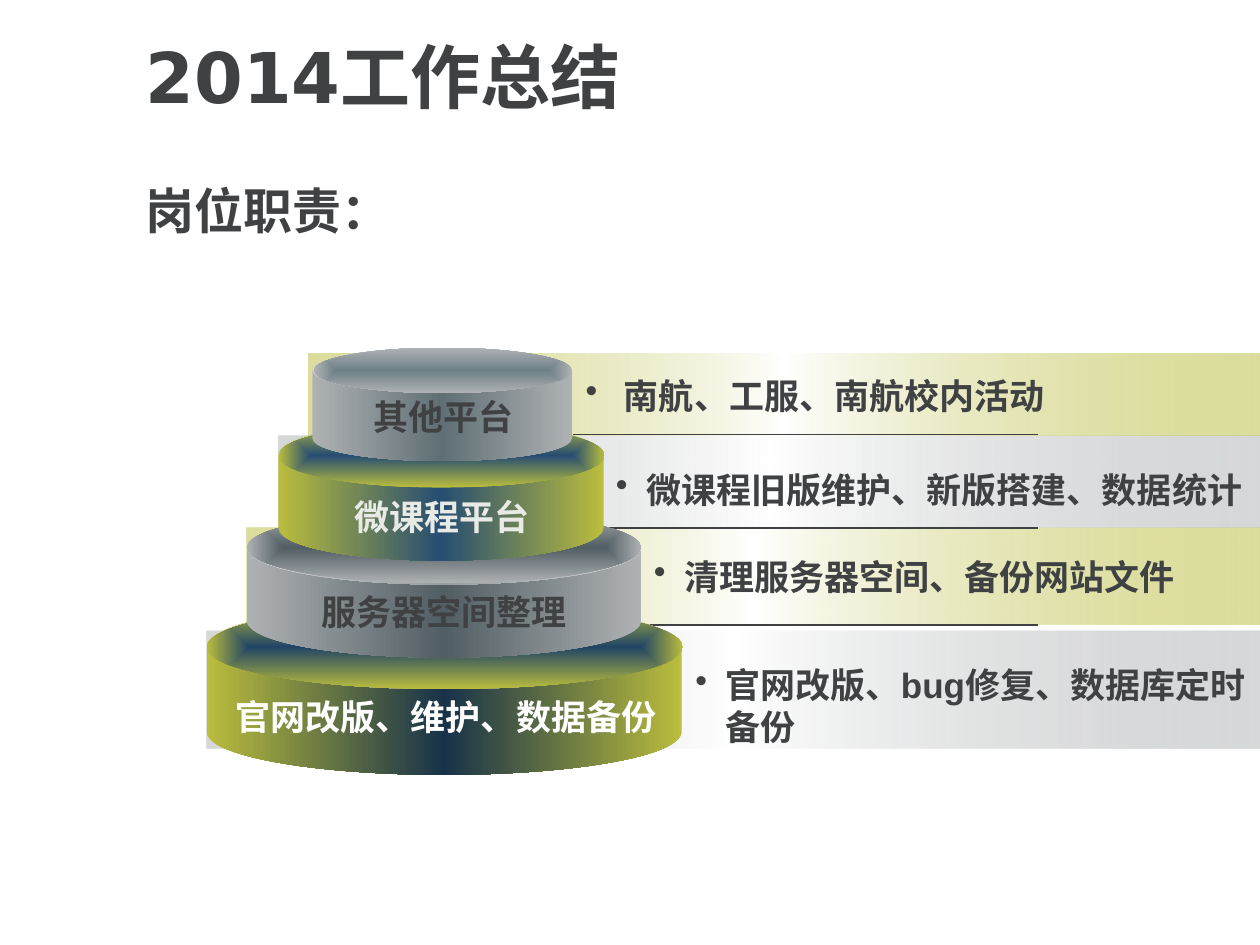
from pptx import Presentation
from pptx.dml.color import RGBColor
from pptx.enum.shapes import MSO_CONNECTOR, MSO_SHAPE
from pptx.enum.text import MSO_ANCHOR, MSO_AUTO_SIZE, PP_ALIGN
from pptx.oxml import parse_xml
from pptx.oxml.ns import nsdecls, qn
from pptx.oxml.xmlchemy import OxmlElement
from pptx.util import Inches, Pt

DARK = RGBColor(0x3F, 0x41, 0x43)
WHITE = RGBColor(0xFF, 0xFF, 0xFF)
PALE = RGBColor(0xE8, 0xEA, 0xE6)
GREY = RGBColor(0xAF, 0xB2, 0xB4)
OLIVE = RGBColor(0xBA, 0xBD, 0x3D)
NAVY = RGBColor(0x18, 0x32, 0x49)
DEEP_BLUE = RGBColor(0x21, 0x45, 0x65)
BLUE = RGBColor(0x26, 0x4D, 0x72)
SLATE = RGBColor(0x51, 0x5E, 0x63)
STEEL = RGBColor(0x5F, 0x6F, 0x74)
LIGHT_STEEL = RGBColor(0x6E, 0x80, 0x87)

SLIDE_WIDTH = 10
LINE_END = 8.24
HANGING = 0.24

# Bottom to top: left, top, width, height, colour
BANDS = [
    (1.64, 5.01, 0.93, GREY),
    (1.96, 4.19, 0.77, OLIVE),
    (2.21, 3.46, 0.73, GREY),
    (2.45, 2.81, 0.65, OLIVE),
]
DIVIDERS = [(4.55, 3.45), (4.79, 4.19), (5.09, 4.96)]
# Can box, can adjustment, lid box, edge colour, can middle, lid middle
TIERS = [
    ((1.64, 4.79, 3.77, 1.36), 0.5, (1.64, 4.8, 3.78, 0.67), OLIVE, NAVY, DEEP_BLUE),
    ((1.96, 4.06, 3.13, 1.16), 0.5, (1.96, 4.06, 3.13, 0.57), GREY, SLATE, SLATE),
    ((2.21, 3.35, 2.58, 1.1), 0.47, (2.21, 3.36, 2.59, 0.51), OLIVE, BLUE, BLUE),
    ((2.48, 2.76, 2.06, 0.9), 0.4, (2.49, 2.76, 2.05, 0.36), GREY, STEEL, LIGHT_STEEL),
]
TIER_LABELS = [
    ("官网改版、维护、数据备份", (1.65, 5.47, 3.78, 0.44), WHITE),
    ("服务器空间整理", (1.96, 4.64, 3.13, 0.44), DARK),
    ("微课程平台", (2.48, 3.88, 2.06, 0.44), PALE),
    ("其他平台", (2.49, 3.09, 2.06, 0.44), DARK),
]
# Text, left, top, height
DUTIES = [
    (" 南航、工服、南航校内活动", 4.55, 2.92, 0.44),
    ("微课程旧版维护、新版搭建、数据统计", 4.79, 3.67, 0.44),
    ("清理服务器空间、备份网站文件", 5.09, 4.36, 0.44),
    ("官网改版、bug修复、数据库定时备份", 5.42, 5.22, 0.77),
]


def inches(box):
    return [Inches(length) for length in box]


def fill_gradient(shape, stops, direction):
    """Fill with (percent, colour, opacity percent) stops along a direction element."""
    stop_xml = "".join(
        f'<a:gs pos="{position * 1000}"><a:srgbClr val="{color}">'
        f'<a:alpha val="{opacity * 1000}"/></a:srgbClr></a:gs>'
        for position, color, opacity in stops
    )
    gradient = parse_xml(
        f'<a:gradFill {nsdecls("a")} rotWithShape="1">'
        f"<a:gsLst>{stop_xml}</a:gsLst>{direction}</a:gradFill>"
    )
    shape.fill.background()
    properties = shape._element.spPr
    properties.replace(properties.find(qn("a:noFill")), gradient)


def add_plain_shape(shapes, kind, box):
    shape = shapes.add_shape(kind, *inches(box))
    shape.shadow.inherit = False
    shape.line.fill.background()
    return shape


def fill_sideways(shape, edge, middle, edge_opacity=100):
    stops = [(0, edge, edge_opacity), (50, middle, 100), (100, edge, edge_opacity)]
    fill_gradient(shape, stops, '<a:lin ang="10800000" scaled="1"/>')


def add_band(page, left, top, height, color):
    box = (left, top, SLIDE_WIDTH - left, height)
    band = add_plain_shape(page.shapes, MSO_SHAPE.RECTANGLE, box)
    fill_sideways(band, color, WHITE, 50)


def add_divider(page, left, top):
    line = page.shapes.add_connector(
        MSO_CONNECTOR.STRAIGHT, *inches((left, top, LINE_END, top))
    )
    line.line.color.rgb = DARK
    line.line.width = Pt(0.75)
    line._element.spPr.append(OxmlElement("a:effectLst"))


def add_tier(page, can_box, adjustment, lid_box, edge, can_middle, lid_middle):
    group = page.shapes.add_group_shape()
    can = add_plain_shape(group.shapes, MSO_SHAPE.CAN, can_box)
    can.adjustments[0] = adjustment
    fill_sideways(can, edge, can_middle)
    lid = add_plain_shape(group.shapes, MSO_SHAPE.OVAL, lid_box)
    fill_gradient(
        lid,
        [(0, lid_middle, 100), (100, edge, 100)],
        '<a:path path="rect"><a:fillToRect l="50000" t="50000" r="50000" b="50000"/></a:path>',
    )


def add_bullet(para):
    properties = para._p.get_or_add_pPr()
    properties.set("marL", str(Inches(HANGING)))
    properties.set("indent", str(-Inches(HANGING)))
    properties.append(
        parse_xml(f'<a:buClr {nsdecls("a")}><a:srgbClr val="{DARK}"/></a:buClr>')
    )
    properties.append(parse_xml(f'<a:buChar {nsdecls("a")} char="•"/>'))


def add_text(page, text, box, size=20, color=DARK, font="Arial",
             align=PP_ALIGN.LEFT, anchor=MSO_ANCHOR.TOP, grow=True, bullet=False):
    frame = page.shapes.add_textbox(*inches(box)).text_frame
    frame.word_wrap = True
    frame.vertical_anchor = anchor
    frame.auto_size = MSO_AUTO_SIZE.SHAPE_TO_FIT_TEXT if grow else MSO_AUTO_SIZE.NONE
    para = frame.paragraphs[0]
    para.alignment = align
    if bullet:
        add_bullet(para)
    span = para.add_run()
    span.text = text
    span.font.name = font
    span.font.size = Pt(size)
    span.font.bold = True
    span.font.color.rgb = color


def main():
    deck = Presentation()
    deck.slide_width = Inches(SLIDE_WIDTH)
    deck.slide_height = Inches(7.5)
    page = deck.slides.add_slide(deck.slide_layouts[6])

    add_text(page, "岗位职责：", (1.06, 1.38, 8.26, 0.57), size=28,
             align=PP_ALIGN.JUSTIFY, anchor=MSO_ANCHOR.MIDDLE)
    add_text(page, "2014工作总结", (1.06, 0.22, 7.69, 0.67), size=40,
             font="DejaVu Sans", grow=False)
    for band in BANDS:
        add_band(page, *band)
    for divider in DIVIDERS:
        add_divider(page, *divider)
    for tier in TIERS:
        add_tier(page, *tier)
    for text, box, color in TIER_LABELS:
        add_text(page, text, box, color=color, align=PP_ALIGN.CENTER)
    for text, left, top, height in DUTIES:
        add_text(page, text, (left, top, SLIDE_WIDTH - left, height), bullet=True)

    deck.save("out.pptx")


if __name__ == "__main__":
    main()
